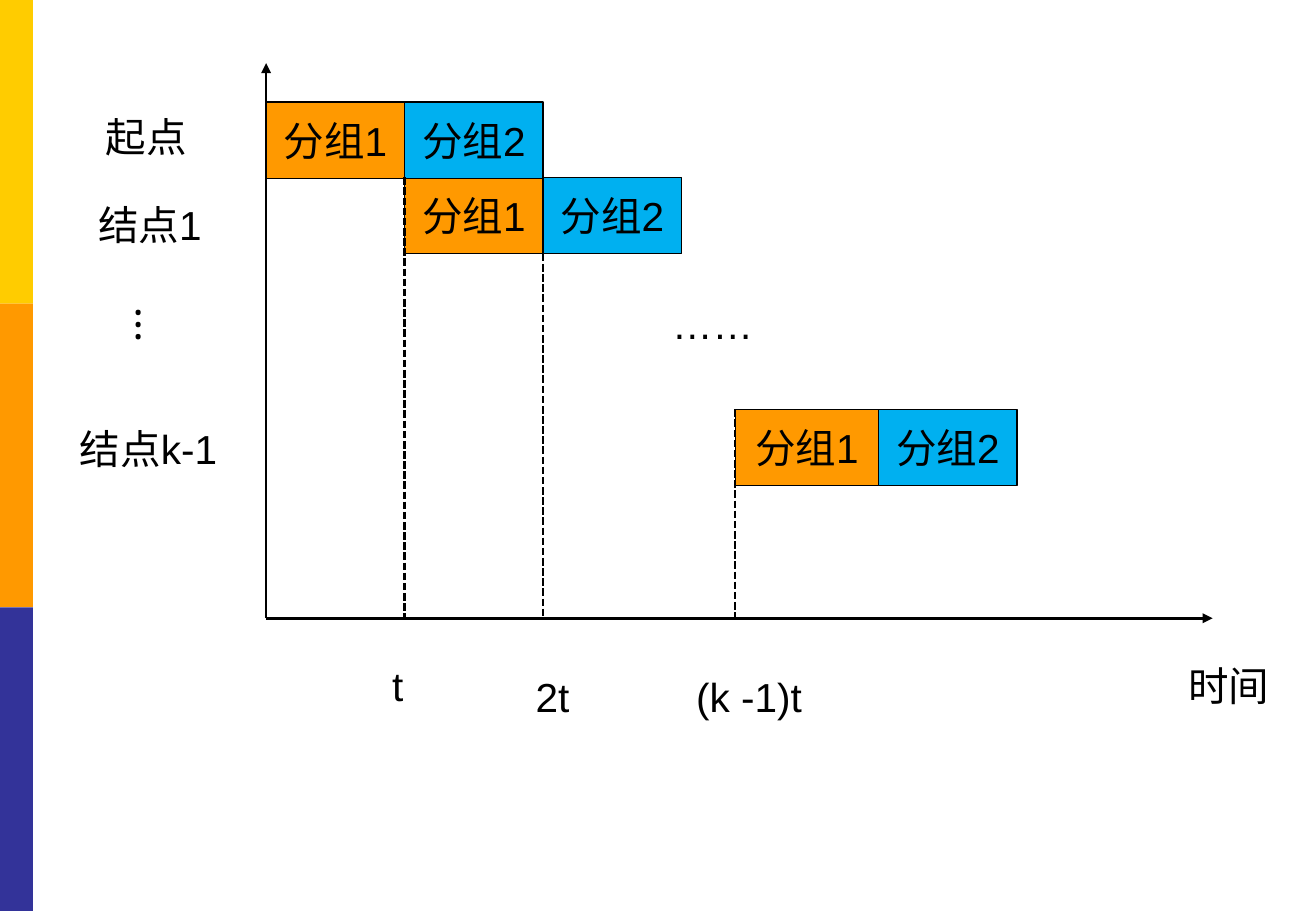
"""Build the timing slide for packets forwarded through successive nodes."""
from dataclasses import dataclass

from lxml import etree
from pptx import Presentation
from pptx.dml.color import RGBColor
from pptx.enum.dml import MSO_LINE
from pptx.enum.shapes import MSO_CONNECTOR, MSO_SHAPE
from pptx.enum.text import MSO_ANCHOR, PP_ALIGN
from pptx.oxml.ns import qn
from pptx.util import Inches, Pt

RECTANGLE = MSO_SHAPE.RECTANGLE
STRAIGHT = MSO_CONNECTOR.STRAIGHT
DASH = MSO_LINE.SQUARE_DOT
MIDDLE = MSO_ANCHOR.MIDDLE
LEFT, CENTER = PP_ALIGN.LEFT, PP_ALIGN.CENTER


@dataclass
class Theme:
    yellow: RGBColor = RGBColor(0xFF, 0xCC, 0x00)
    orange: RGBColor = RGBColor(0xFF, 0x99, 0x00)
    indigo: RGBColor = RGBColor(0x33, 0x33, 0x99)
    blue: RGBColor = RGBColor(0x00, 0xB0, 0xF0)
    ink: RGBColor = RGBColor(0, 0, 0)
    font: str = "Arial"
    symbol_font: str = "Times New Roman"
    size: Pt = Pt(24)
    axis: Pt = Pt(1.5)
    border: Pt = Pt(0.75)


theme = Theme()
WIDTH, HEIGHT = 10.83, 7.5
ORIGIN_X, ORIGIN_Y = 2.19, 5.09
SLOT, ROW = 1.14, 0.63
TOP = 0.84
FIRST_T, SECOND_T, LAST_T = ORIGIN_X + SLOT, ORIGIN_X + 2 * SLOT, 6.05
SECOND_ROW, LAST_ROW = TOP + ROW - 0.01, 3.37
LAST_SLOT = 1.18

deck = Presentation()
deck.slide_width, deck.slide_height = Inches(WIDTH), Inches(HEIGHT)
page = deck.slides.add_slide(deck.slide_layouts[6])


def write(box, text, font=theme.font, align=LEFT):
    para = box.text_frame.paragraphs[0]
    para.text = text
    para.alignment = align
    para.font.name = font
    para.font.size = theme.size
    para.font.color.rgb = theme.ink


def add_rectangle(left, top, width, height, fill):
    box = page.shapes.add_shape(
        RECTANGLE, Inches(left), Inches(top), Inches(width), Inches(height))
    box.shadow.inherit = False
    box.fill.solid()
    box.fill.fore_color.rgb = fill
    box.line.fill.background()
    return box


for band, color in enumerate((theme.yellow, theme.orange, theme.indigo)):
    add_rectangle(0, band * HEIGHT / 3, WIDTH / 40, HEIGHT / 3, color)

lines = [
    (ORIGIN_X, ORIGIN_Y, ORIGIN_X, 0.52, False),
    (ORIGIN_X, ORIGIN_Y, 9.98, ORIGIN_Y, False),
    (FIRST_T, SECOND_ROW, FIRST_T, ORIGIN_Y, True),
    (SECOND_T, SECOND_ROW + ROW, SECOND_T, ORIGIN_Y, True),
    (LAST_T, LAST_ROW, LAST_T, ORIGIN_Y, True),
]
packets = [
    ("分组1", theme.orange, ORIGIN_X, TOP, SLOT),
    ("分组1", theme.orange, FIRST_T, SECOND_ROW, SLOT),
    ("分组1", theme.orange, LAST_T, LAST_ROW, LAST_SLOT),
    ("分组2", theme.blue, FIRST_T, TOP, SLOT),
    ("分组2", theme.blue, SECOND_T, SECOND_ROW, SLOT),
    ("分组2", theme.blue, LAST_T + LAST_SLOT, LAST_ROW, SLOT),
]
for text, color, left, top, width in packets:
    packet = add_rectangle(left, top, width, ROW, color)
    packet.line.color.rgb = theme.ink
    packet.line.width = theme.border
    packet.text_frame.word_wrap = False
    packet.text_frame.vertical_anchor = MIDDLE
    write(packet, text, align=CENTER)

for start_x, start_y, end_x, end_y, dashed in lines:
    line = page.shapes.add_connector(
        STRAIGHT, Inches(start_x), Inches(start_y), Inches(end_x), Inches(end_y))
    line.line.color.rgb = theme.ink
    line.line.width = theme.axis
    if dashed:
        line.line.dash_style = DASH
    else:
        etree.SubElement(line.line._get_or_add_ln(), qn("a:tailEnd"), type="triangle")
    etree.SubElement(line._element.spPr, qn("a:effectLst"))

labels = [
    ("起点", 0.77, 0.87, 1.09, theme.font, LEFT),
    ("结点1", 0.71, 1.6, 1.09, theme.font, LEFT),
    ("⁝", 0.99, 2.41, 0.49, theme.symbol_font, LEFT),
    ("结点k-1", 0.56, 3.44, 1.45, theme.font, LEFT),
    ("……", 5.25, 2.41, 1.23, theme.font, CENTER),
    ("t", 3.13, 5.39, 0.57, theme.font, LEFT),
    ("2t", 4.31, 5.48, 0.57, theme.font, LEFT),
    ("(k -1)t", 5.63, 5.48, 1.31, theme.font, LEFT),
    ("时间", 9.68, 5.39, 1.09, theme.font, LEFT),
]
for text, left, top, width, font, align in labels:
    label = page.shapes.add_textbox(
        Inches(left), Inches(top), Inches(width), Inches(0.5))
    label.text_frame.word_wrap = True
    write(label, text, font, align)

deck.save("out.pptx")
